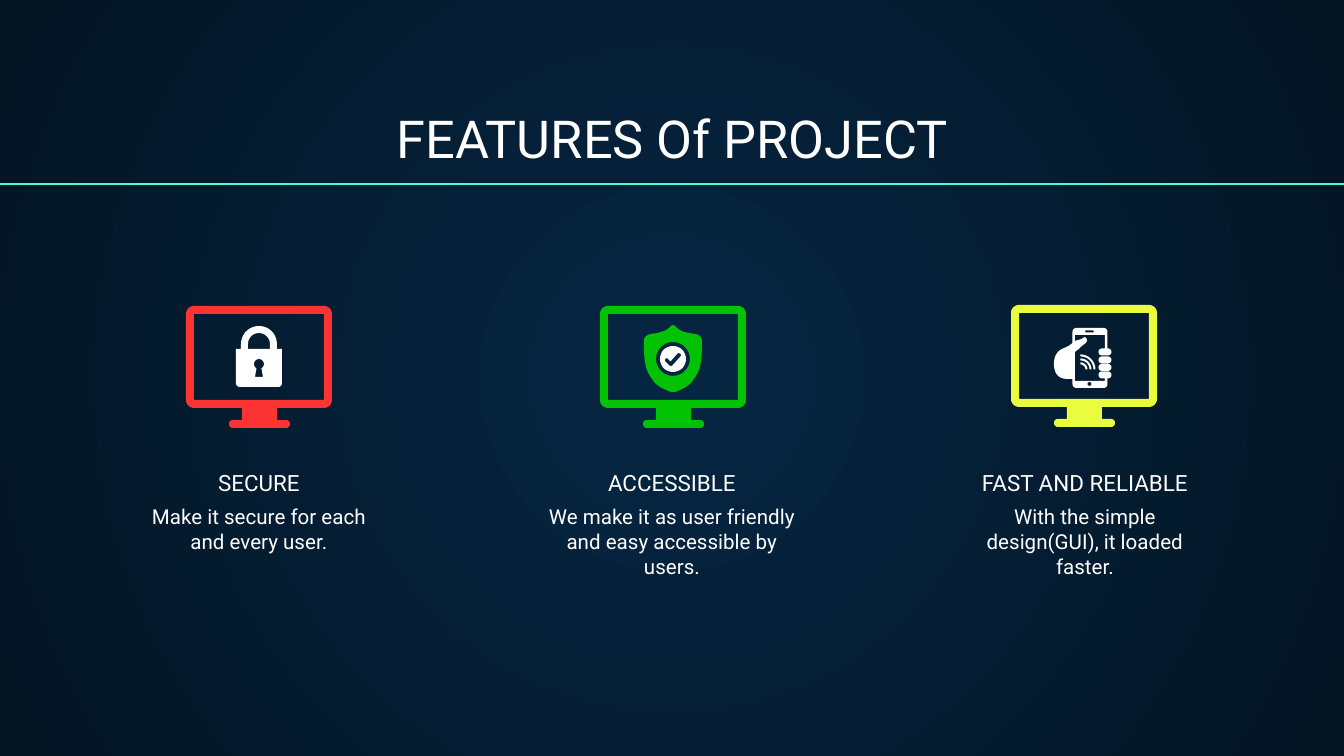
from dataclasses import dataclass
from math import cos, radians, sin

from lxml import etree
from pptx import Presentation
from pptx.dml.color import RGBColor
from pptx.enum import shapes, text
from pptx.oxml import ns
from pptx.util import Emu, Pt

Point = tuple[float, float]
Loop = list[Point]

PX = 914400 / 134.4
FINE = 10
WIDE, HIGH = 1344, 756
WHITE = RGBColor(0xFF, 0xFF, 0xFF)
RED = RGBColor(0xFB, 0x33, 0x33)
GREEN = RGBColor(0x03, 0xC1, 0x03)
YELLOW = RGBColor(0xEA, 0xFC, 0x3E)
MINT = RGBColor(0x48, 0xFF, 0xD5)
NAVY = RGBColor(0x05, 0x26, 0x43)
NIGHT = RGBColor(0x04, 0x15, 0x23)


@dataclass
class Layer:
    loops: list[Loop]
    color: RGBColor


@dataclass
class Feature:
    name: str
    body: str
    mid: int
    left: int
    top: int
    layers: list[Layer]


def px(n: float) -> Emu:
    return Emu(round(n * PX))


def arc(x: float, y: float, r: float, start: int, end: int) -> Loop:
    steps = max(6, abs(end - start) // 10)
    turns = [radians(start + (end - start) * i / steps) for i in range(steps + 1)]
    return [(x + r * cos(t), y + r * sin(t)) for t in turns]


def curve(a: Point, b: Point, c: Point, d: Point) -> Loop:
    dots = []
    for i in range(11):
        t = i / 10
        mix = ((1 - t) ** 3, 3 * t * (1 - t) ** 2, 3 * t * t * (1 - t), t ** 3)
        dots.append(tuple(sum(m * p[k] for m, p in zip(mix, (a, b, c, d))) for k in (0, 1)))
    return dots


def ring(x: float, y: float, r: float) -> Loop:
    return arc(x, y, r, 0, 360)


def pill(x1: float, x2: float, y: float, r: float) -> Loop:
    return arc(x1, y, r, 90, 270) + arc(x2, y, r, -90, 90)


def wave(x: float, y: float, r: float) -> Loop:
    return arc(x, y, r, 270, 360) + arc(x, y, r - 2, 360, 270)


def screen() -> list[Loop]:
    rim = (arc(8, 8, 8, 180, 270) + arc(138, 8, 8, 270, 360) + arc(138, 94, 8, 0, 90)
           + [(91, 102), (91, 114)] + arc(100, 118, 4, -90, 90) + arc(47, 118, 4, 90, 270)
           + [(56, 114), (56, 102)] + arc(8, 94, 8, 90, 180))
    return [rim, [(8, 8), (138, 8), (138, 94), (8, 94)]]


def lock() -> list[Loop]:
    body = ([(50, 43), (55, 43)] + arc(73, 38, 18, 180, 360) + [(91, 43), (96, 43)]
            + arc(92, 77, 4, 0, 90) + arc(54, 77, 4, 90, 180))
    gap = arc(73, 38, 11, 180, 360) + [(84, 43), (62, 43)]
    key = arc(73, 58, 5, 120, 420) + [(77, 71), (69, 71)]
    return [body, gap, key]


def shield() -> list[Loop]:
    half = ([(73, 19), (75, 20)]
            + curve((76, 21), (81, 26), (87, 27), (95, 28))
            + curve((95, 28), (99, 29), (102, 31), (102, 35))
            + curve((102, 38), (102, 45), (102, 55), (99, 64))
            + curve((99, 64), (97, 69), (94, 73), (91, 77))
            + curve((91, 77), (87, 81), (81, 84), (75, 86)))
    return [half + [(146 - x, y) for x, y in reversed(half)], ring(73, 53, 17)]


def badge() -> list[Loop]:
    tick = [(79, 47), (81, 48), (81, 50), (72, 60), (70, 60), (65, 55),
            (65, 53), (67, 52), (70.5, 55.5), (77.5, 47.5)]
    return [ring(73, 53, 13), tick]


def phone() -> list[Loop]:
    r = 3.5
    hand = (arc(65.5, 27, 4, 270, 180)
            + curve((61.5, 38), (57, 42), (53, 43), (51, 44))
            + curve((51, 44), (47, 46), (43, 50), (43, 59))
            + curve((43, 59), (43, 69), (48, 74), (56, 74))
            + [(61.5, 74)] + arc(65.5, 79, 4, 180, 90) + arc(92.5, 79, 4, 90, 0)
            + [(96.5, 73.5)] + arc(97, 70, r, 90, -90) + arc(91, 70, r, 270, 90)
            + [(94, 73.5), (94, 76), (64, 76), (64, 47)]
            + curve((68, 44), (71, 40), (75, 39), (76, 36))
            + curve((76, 36), (76, 32), (73, 31), (71, 34))
            + [(64, 36), (64, 30), (94, 30), (94, 43.5)]
            + arc(91, 47, r, 270, 90) + arc(97, 47, r, 90, -90)
            + [(96.5, 43.5)] + arc(92.5, 27, 4, 0, -90))
    grips = [pill(91, 97, y, r) for y in (55, 62.5)]
    waves = [wave(69.5, 64.5, size) for size in (15, 11, 7)]
    return [hand, *grips, *waves, pill(75, 82, 26.5, 1), ring(78.5, 79, 2)]


FEATURES = [
    Feature("SECURE", "Make it secure for each and every user.", 259, 186, 306,
            [Layer(screen(), RED), Layer(lock(), WHITE)]),
    Feature("ACCESSIBLE", "We make it as user friendly and easy accessible by users.",
            672, 600, 306,
            [Layer(screen(), GREEN), Layer(badge(), WHITE), Layer(shield(), GREEN)]),
    Feature("FAST AND RELIABLE", "With the simple design(GUI), it loaded faster.",
            1085, 1011, 305, [Layer(screen(), YELLOW), Layer(phone(), WHITE)]),
]


def draw(slide, layer: Layer, left: int, top: int) -> None:
    loops = [[(x * FINE, y * FINE) for x, y in loop] for loop in layer.loops]
    pen = slide.shapes.build_freeform(*loops[0][0], scale=PX / FINE)
    pen.add_line_segments(loops[0][1:], close=True)
    for loop in loops[1:]:
        pen.move_to(*loop[0])
        pen.add_line_segments(loop[1:], close=True)
    shape = pen.convert_to_shape(px(left), px(top))
    shape.shadow.inherit = False
    shape.fill.solid()
    shape.fill.fore_color.rgb = layer.color
    shape.line.fill.background()


def write(shape, words: str, size: int, anchor) -> None:
    frame = shape.text_frame
    frame.text = words
    frame.word_wrap = True
    frame.auto_size = text.MSO_AUTO_SIZE.NONE
    frame.vertical_anchor = anchor
    frame.margin_left = frame.margin_right = Pt(7.2)
    frame.margin_top = frame.margin_bottom = Pt(7.2)
    line = frame.paragraphs[0]
    line.alignment = text.PP_ALIGN.CENTER
    font = line.runs[0].font
    font.name, font.size, font.color.rgb = "Roboto", Pt(size), WHITE


def label(slide, words: str, mid: int, top: int, wide: int, high: int,
          size: int, anchor) -> None:
    box = slide.shapes.add_textbox(px(mid - wide / 2), px(top), px(wide), px(high))
    write(box, words, size, anchor)


def paint(slide) -> None:
    fill = slide.background.fill
    fill.gradient()
    for stop, color in zip(fill.gradient_stops, (NAVY, NIGHT)):
        stop.color.rgb = color
    grad = next(slide.element.iter(ns.qn("a:gradFill")))
    grad.remove(grad.find(ns.qn("a:lin")))
    glow = etree.SubElement(grad, ns.qn("a:path"), path="circle")
    etree.SubElement(glow, ns.qn("a:fillToRect"), l="50000", t="50000", r="50000", b="50000")


def main() -> None:
    deck = Presentation()
    deck.slide_width, deck.slide_height = px(WIDE), px(HIGH)
    slide = deck.slides.add_slide(deck.slide_layouts[5])
    paint(slide)
    title = slide.shapes.title
    title.left, title.top, title.width, title.height = px(46), px(94), px(1252), px(89)
    write(title, "FEATURES Of PROJECT", 28, text.MSO_ANCHOR.BOTTOM)
    for item in FEATURES:
        label(slide, item.body, item.mid, 491, 278, 74, 11, text.MSO_ANCHOR.TOP)
        label(slide, item.name, item.mid, 481, 305, 28, 12, text.MSO_ANCHOR.BOTTOM)
        for layer in item.layers:
            draw(slide, layer, item.left, item.top)
    rule = slide.shapes.add_connector(
        shapes.MSO_CONNECTOR.STRAIGHT, 0, px(184), px(WIDE), px(184))
    rule.line.color.rgb, rule.line.width = MINT, Pt(0.75)
    etree.SubElement(rule.element.spPr, ns.qn("a:effectLst"))
    deck.save("out.pptx")


if __name__ == "__main__":
    main()
